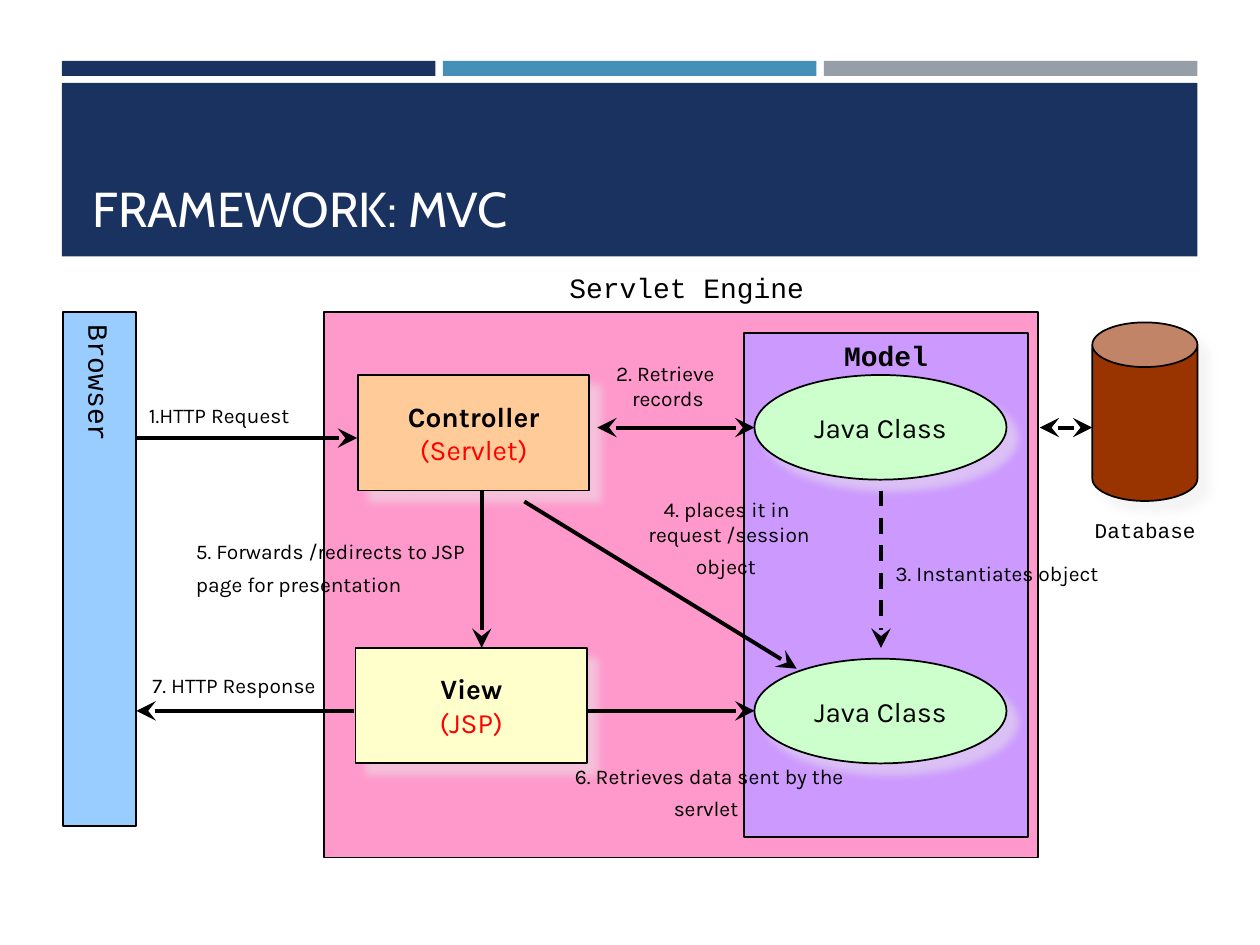
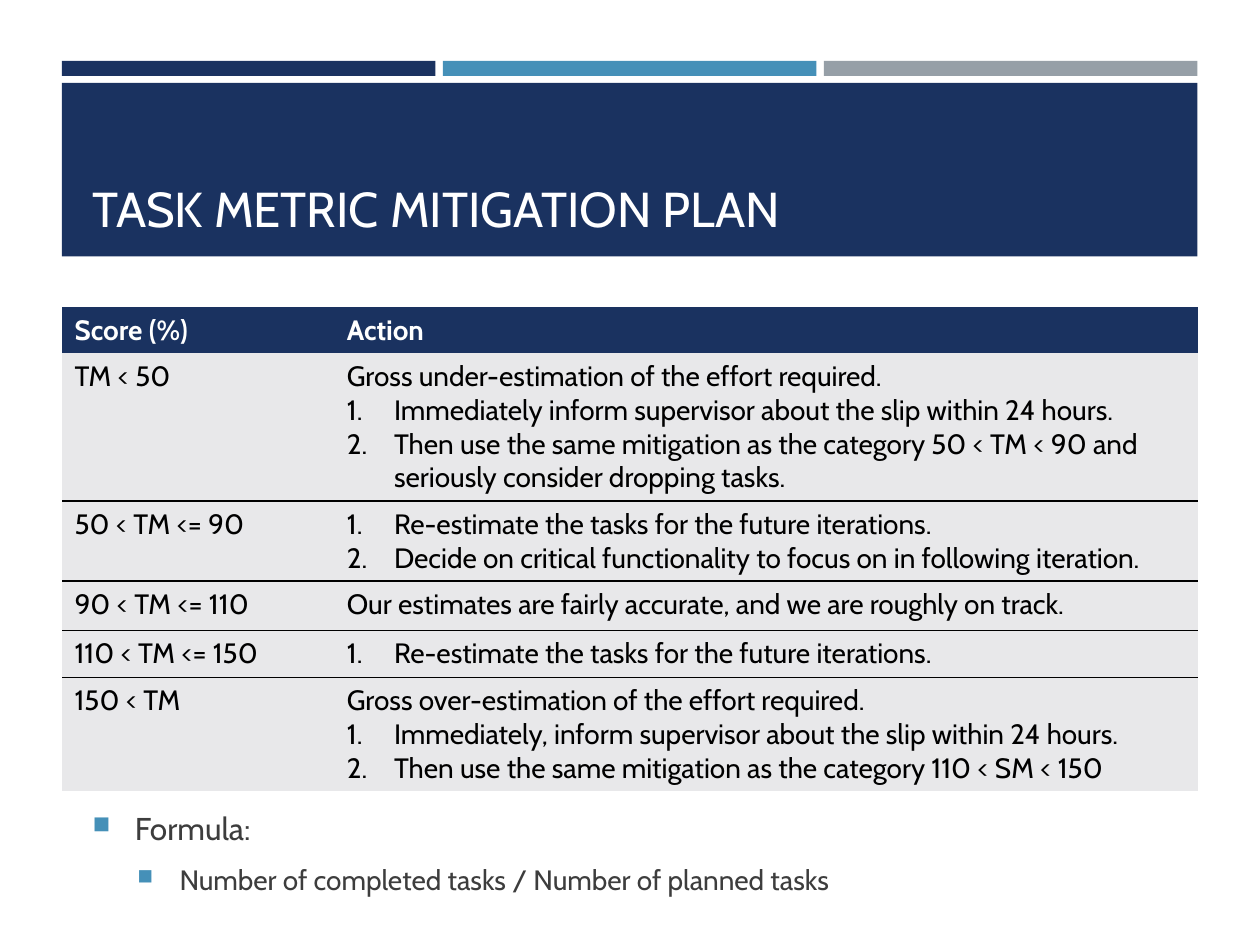
from pptx import Presentation
from pptx.dml.color import RGBColor
from pptx.enum.dml import MSO_LINE
from pptx.enum.shapes import MSO_CONNECTOR, MSO_SHAPE
from pptx.enum.text import MSO_ANCHOR as Anchor, PP_ALIGN as Align
from pptx.oxml import parse_xml
from pptx.oxml.ns import nsdecls, qn
from pptx.util import Cm, Pt

COLORS = {
    "navy": "1A3260", "blue": "4590B8", "gray": "969FA7", "white": "FFFFFF",
    "black": "000000", "red": "FF0000", "body": "3D3D3D", "row": "E8E8EA",
    "engine": "FF99CC", "model": "CC99FF", "browser": "99CCFF",
    "controller": "FFCC99", "view": "FFFFCC", "java": "CCFFCC",
    "database": "993300", "shadow": "EBEBEB",
}
RGB = {name: RGBColor.from_string(value) for name, value in COLORS.items()}
HEADING, LABEL, MONO = "Cabin", "Karla", "Courier New"


def dml(tag, attributes="", inner=""):
    """Return a DrawingML element ready to insert."""
    return parse_xml(f'<a:{tag} {nsdecls("a")} {attributes}>{inner}</a:{tag}>')


def write(frame, paragraphs, size=16, font=HEADING, color="black", bold=False,
          align=Align.LEFT, anchor=Anchor.TOP, wrap=True):
    """Fill a text frame; a paragraph is a string or a list of (text, overrides) runs."""
    frame.word_wrap = wrap
    frame.vertical_anchor = anchor
    for index, content in enumerate(paragraphs):
        paragraph = frame.add_paragraph() if index else frame.paragraphs[0]
        paragraph.alignment = align
        runs = [(content, {})] if isinstance(content, str) else content
        for text, overrides in runs:
            style = {"size": size, "color": color, "bold": bold, **overrides}
            run = paragraph.add_run()
            run.text = text
            run.font.name = font
            run.font.size = Pt(style["size"])
            run.font.bold = style["bold"]
            run.font.color.rgb = RGB[style["color"]]


deck = Presentation()
deck.slide_width, deck.slide_height = Cm(25.4), Cm(19.05)

# Bands and titles shared by both slides
slides = []
for title in ("FRAMEWORK: MVC", "TASK METRIC MITIGATION PLAN"):
    slide = deck.slides.add_slide(deck.slide_layouts[6])
    slides.append(slide)
    bands = [(1.25 + 7.68 * i, 1.23, 7.53, 0.3, color)
             for i, color in enumerate(("navy", "blue", "gray"))]
    bands.append((1.25, 1.67, 22.89, 3.5, "navy"))
    for left, top, width, height, color in bands:
        band = slide.shapes.add_shape(MSO_SHAPE.RECTANGLE, Cm(left), Cm(top),
                                      Cm(width), Cm(height))
        band.shadow.inherit = False
        band.fill.solid()
        band.fill.fore_color.rgb = RGB[color]
        band.line.fill.background()
    heading = slide.shapes.add_textbox(Cm(1.62), Cm(1.91), Cm(22.2), Cm(3))
    write(heading.text_frame, [title], size=28, color="white", anchor=Anchor.BOTTOM)

mvc, metric = slides

# MVC parts: preset, left, top, width, height, fill, casts shadow, text
plain = {"color": "red", "bold": False}
java_class = [[("Java Class", {"bold": False})]]
parts = [
    (MSO_SHAPE.RECTANGLE, 6.53, 6.29, 14.4, 11, "engine", False, []),
    (MSO_SHAPE.RECTANGLE, 15, 6.71, 5.73, 10.16, "model", False, []),
    (MSO_SHAPE.RECTANGLE, 7.22, 7.56, 4.66, 2.33, "controller", True,
     ["Controller", [("(Servlet)", plain)]]),
    (MSO_SHAPE.RECTANGLE, 7.17, 13.06, 4.66, 2.33, "view", True,
     ["View", [("(JSP)", plain)]]),
    (MSO_SHAPE.OVAL, 15.21, 7.56, 5.08, 2.11, "java", True, java_class),
    (MSO_SHAPE.OVAL, 15.21, 13.28, 5.08, 2.11, "java", True, java_class),
    (MSO_SHAPE.CAN, 22.02, 6.5, 2.12, 3.6, "database", True, []),
    (MSO_SHAPE.RECTANGLE, 1.27, 6.29, 1.48, 10.37, "browser", False, []),
]
for preset, left, top, width, height, color, shaded, lines in parts:
    part = mvc.shapes.add_shape(preset, Cm(left), Cm(top), Cm(width), Cm(height))
    part.shadow.inherit = False
    part.fill.solid()
    part.fill.fore_color.rgb = RGB[color]
    part.line.color.rgb = RGB["black"]
    part.line.width = Pt(1)
    if preset == MSO_SHAPE.CAN:
        part.adjustments[0] = 0.425
    if shaded:
        part.element.spPr.find(qn("a:effectLst")).append(dml(
            "outerShdw", f'blurRad="{Pt(5)}" dist="{Pt(8.5)}" dir="2700000" algn="ctr"',
            f'<a:srgbClr val="{COLORS["shadow"]}"><a:alpha val="50000"/></a:srgbClr>'))
    if lines:
        write(part.text_frame, lines, font=LABEL, bold=True, align=Align.CENTER,
              anchor=Anchor.MIDDLE, wrap=False)
    if color == "browser":
        write(part.text_frame, ["Browser"], font=MONO, align=Align.CENTER,
              anchor=Anchor.MIDDLE, wrap=False)
        part.element.txBody.find(qn("a:bodyPr")).set("vert", "eaVert")

# Arrows: x1, y1, x2, y2, arrowheads, dashed
arrows = [
    (2.75, 8.83, 7.2, 8.83, ["tail"], False),
    (9.71, 9.89, 9.71, 13.06, ["tail"], False),
    (2.75, 14.33, 7.14, 14.33, ["head"], False),
    (12.04, 8.62, 15.21, 8.62, ["head", "tail"], False),
    (11.84, 14.33, 15.21, 14.33, ["tail"], False),
    (20.96, 8.62, 22.02, 8.62, ["head", "tail"], False),
    (10.57, 10.11, 16.06, 13.48, ["tail"], False),
    (17.76, 9.89, 17.76, 13.06, ["tail"], True),
]
for x1, y1, x2, y2, heads, dashed in arrows:
    arrow = mvc.shapes.add_connector(MSO_CONNECTOR.STRAIGHT, Cm(x1), Cm(y1), Cm(x2), Cm(y2))
    arrow.line.color.rgb = RGB["black"]
    arrow.line.width = Pt(2.25)
    if dashed:
        arrow.line.dash_style = MSO_LINE.DASH
    outline = arrow.element.spPr.find(qn("a:ln"))
    for head in heads:
        outline.append(dml(f"{head}End", 'type="stealth" w="lg" len="lg"'))
    arrow.element.spPr.append(dml("effectLst"))

# Labels: left, top, width, height, lines, format
centered = {"size": 12, "font": LABEL, "align": Align.CENTER}
leftward = {"size": 12, "font": LABEL}
mono = {"font": MONO, "align": Align.CENTER}
tall_end = (" ", {"size": 16})
labels = [
    (6.76, 5.33, 14.17, 0.94, ["Servlet Engine"], mono),
    (15, 6.71, 5.72, 0.94, ["Model"], {**mono, "bold": True}),
    (21.18, 10.31, 3.81, 0.76, ["Database"], {**mono, "size": 12}),
    (2.75, 7.99, 4.24, 0.76, ["1.HTTP Request"], leftward),
    (11.41, 7.14, 4.01, 1.27, ["2. Retrieve", " records"], centered),
    (17.8, 11.03, 5.5, 0.94, [[("3. Instantiates object", {}), tall_end]], leftward),
    (12.26, 9.88, 4.88, 1.45,
     ["4. places it in ", [("request /session object", {}), tall_end]], centered),
    (3.7, 10.74, 6.55, 1.45,
     [[("5. Forwards /redirects to JSP page for presentation", {}), tall_end]], leftward),
    (11.34, 15.26, 5.92, 1.45,
     [[("6. Retrieves data sent by the servlet", {}), tall_end]], centered),
    (2.28, 13.44, 4.88, 0.76, ["7. HTTP Response"], centered),
]
for left, top, width, height, lines, style in labels:
    label = mvc.shapes.add_textbox(Cm(left), Cm(top), Cm(width), Cm(height))
    write(label.text_frame, lines, **style)

# Mitigation table: score, opening sentences, numbered steps, row height
mitigation = [
    ("Score (%)", ["Action"], [], 0.93),
    ("TM < 50", ["Gross under-estimation of the effort required."],
     ["Immediately inform supervisor about the slip within 24 hours.",
      "Then use the same mitigation as the category 50 < TM < 90 and "
      "seriously consider dropping tasks."], 2.98),
    ("50 < TM <= 90", [],
     ["Re-estimate the tasks for the future iterations.",
      "Decide on critical functionality to focus on in following iteration."], 1.61),
    ("90 < TM <= 110",
     ["Our estimates are fairly accurate, and we are roughly on track."], [], 1),
    ("110 < TM <= 150", [], ["Re-estimate the tasks for the future iterations."], 0.95),
    ("150 < TM", ["Gross over-estimation of the effort required."],
     ["Immediately, inform supervisor about the slip within 24 hours.",
      "Then use the same mitigation as the category 110 < SM < 150"], 2.29),
]
table_frame = metric.shapes.add_table(len(mitigation), 2, Cm(1.25), Cm(6.19), Cm(22.91), Cm(9.76))
for style_id in table_frame.element.iter(qn("a:tableStyleId")):
    style_id.text = "{2D5ABB26-0587-4C30-8999-92F81FD0307C}"  # no style, no grid
table = table_frame.table
table.horz_banding = False
for column, width in zip(table.columns, (5.49, 17.42)):
    column.width = Cm(width)
for row, (score, opening, steps, height) in enumerate(mitigation):
    table.rows[row].height = Cm(height)
    header = row == 0
    for column, lines in enumerate(([score], opening + steps)):
        cell = table.cell(row, column)
        cell.fill.solid()
        cell.fill.fore_color.rgb = RGB["navy" if header else "row"]
        write(cell.text_frame, lines, color="white" if header else "black", bold=header)
        if 0 < row < len(mitigation) - 1:
            cell._tc.get_or_add_tcPr().insert(0, dml(
                "lnB", f'w="{Pt(1)}"',
                f'<a:solidFill><a:srgbClr val="{COLORS["black"]}"/></a:solidFill>'))
    for step in table.cell(row, 1).text_frame.paragraphs[len(opening):]:
        properties = step._p.get_or_add_pPr()
        properties.set("marL", str(Cm(0.95)))
        properties.set("indent", str(-Cm(0.95)))
        properties.append(dml("buAutoNum", 'type="arabicPeriod"'))

# Formula with square bullets
formula = metric.shapes.add_textbox(Cm(1.62), Cm(16.06), Cm(22.2), Cm(2.26)).text_frame
write(formula, [[("Formula:", {"size": 18})],
                "Number of completed tasks / Number of planned tasks"],
      color="body", anchor=Anchor.MIDDLE)
for level, paragraph in enumerate(formula.paragraphs):
    properties = paragraph._p.get_or_add_pPr()
    properties.set("marL", str(Cm(0.85 + 0.9 * level)))
    properties.set("indent", str(-Cm(0.85)))
    properties.append(dml("buClr", inner=f'<a:srgbClr val="{COLORS["blue"]}"/>'))
    properties.append(dml("buSzPct", 'val="76000"'))
    properties.append(dml("buChar", 'char="■"'))
    paragraph.level = level
    paragraph.space_before = Pt(3.2 * level)
    paragraph.space_after = Pt(6)

deck.save("out.pptx")
